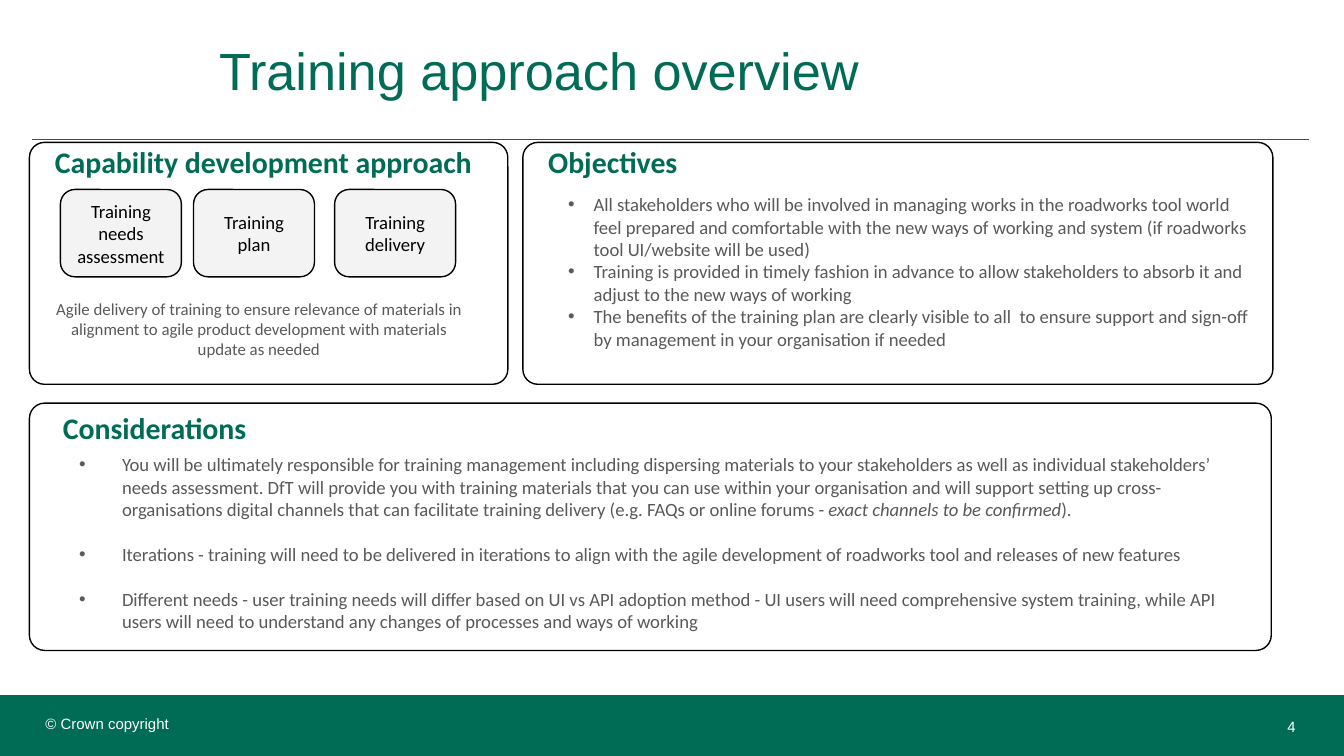
from pptx import Presentation
from pptx.dml.color import RGBColor
from pptx.enum.shapes import MSO_CONNECTOR, MSO_SHAPE
from pptx.enum.text import MSO_ANCHOR, MSO_AUTO_SIZE, PP_ALIGN
from pptx.oxml.ns import qn
from pptx.util import Pt
from lxml import etree

GREEN = RGBColor(0x00, 0x6C, 0x56)
RULE_GREEN = RGBColor(0x00, 0x6B, 0x56)
GREY = RGBColor(0x59, 0x59, 0x59)
PALE = RGBColor(0xF3, 0xF3, 0xF3)
BLACK = RGBColor(0, 0, 0)
WHITE = RGBColor(0xFF, 0xFF, 0xFF)

RECTANGLE = MSO_SHAPE.RECTANGLE
ROUNDED = MSO_SHAPE.ROUNDED_RECTANGLE
STRAIGHT = MSO_CONNECTOR.STRAIGHT
TOP, MIDDLE = MSO_ANCHOR.TOP, MSO_ANCHOR.MIDDLE
LEFT, CENTER, RIGHT = PP_ALIGN.LEFT, PP_ALIGN.CENTER, PP_ALIGN.RIGHT
NO_AUTOFIT = MSO_AUTO_SIZE.NONE

TITLE = {"name": "Arial", "size": Pt(28), "bold": False}
HEADING = {"name": "Calibri", "size": Pt(16), "bold": True}
BODY = {"name": "Calibri", "size": Pt(10)}
NOTE = {"name": "Calibri", "size": Pt(9)}
FOOTER = {"name": "Arial", "size": Pt(8)}

STEP_TOP, STEP_WIDTH, STEP_HEIGHT = 101.5, 64.8, 46.8
STEPS = [
    (32.4, "Training needs assessment", 4.3),
    (103.7, "Training plan", 7.2),
    (179.3, "Training delivery", 7.2),
]
PANELS = [
    (15.8, 76.3, 256.3, 129.6),
    (280.1, 76.3, 401.8, 129.6),
    (15.8, 216, 665.3, 132.5),
]
HEADINGS = [
    (22.3, 76.3, 262, "Capability development approach"),
    (286.6, 76.3, 246, "Objectives"),
    (26.6, 218.9, 400, "Considerations"),
]
AGILE_NOTE = (
    "Agile delivery of training to ensure relevance of materials in alignment "
    "to agile product development with materials update as needed"
)
OBJECTIVES = [
    [("All stakeholders who will be involved in managing works in the roadworks tool "
      "world feel prepared and comfortable with the new ways of working and system "
      "(if roadworks tool UI/website will be used)", False)],
    [("Training is provided in timely fashion in advance to allow stakeholders to "
      "absorb it and adjust to the new ways of working", False)],
    [("The benefits of the training plan are clearly visible to all  to ensure support "
      "and sign-off by management in your organisation if needed", False)],
]
CONSIDERATIONS = [
    [("You will be ultimately responsible for training management including dispersing "
      "materials to your stakeholders as well as individual stakeholders’ needs "
      "assessment. DfT will provide you with training materials that you can use within "
      "your organisation and will support setting up cross-organisations digital "
      "channels that can facilitate training delivery (e.g. FAQs or online forums - ", False),
     ("exact channels to be confirmed", True), (").", False)],
    [("Iterations - training will need to be delivered in iterations to align with the "
      "agile development of roadworks tool and releases of new features", False)],
    [("Different needs - user training needs will differ based on UI vs API adoption "
      "method - UI users will need comprehensive system training, while API users will "
      "need to understand any changes of processes and ways of working", False)],
]


def apply(target, values):
    for name, value in values.items():
        setattr(target, name, value)


def format_frame(frame, anchor=MIDDLE, side=7.2, edge=7.2, wrap=True):
    apply(frame, {
        "auto_size": NO_AUTOFIT, "word_wrap": wrap, "vertical_anchor": anchor,
        "margin_left": Pt(side), "margin_right": Pt(side),
        "margin_top": Pt(edge), "margin_bottom": Pt(edge),
    })


def add_span(para, text, style, color, italic=False):
    span = para.add_run()
    span.text = text
    apply(span.font, {**style, "italic": italic})
    span.font.color.rgb = color


def write_line(frame, text, style, color, align=LEFT):
    para = frame.paragraphs[0]
    para.alignment = align
    add_span(para, text, style, color)


def add_label(page, place, text, style, color, align=LEFT, **layout):
    box = page.shapes.add_textbox(*map(Pt, place))
    format_frame(box.text_frame, **layout)
    write_line(box.text_frame, text, style, color, align)


def add_block(page, preset, place, fill=None, line=None, rounding=None):
    block = page.shapes.add_shape(preset, *map(Pt, place))
    block.shadow.inherit = False
    if rounding is not None:
        block.adjustments[0] = rounding
    if fill is None:
        block.fill.background()
    else:
        block.fill.solid()
        block.fill.fore_color.rgb = fill
    if line is None:
        block.line.fill.background()
    else:
        block.line.color.rgb = line
        block.line.width = Pt(0.75)
    return block


def add_step(page, left, text, side):
    place = (left, STEP_TOP, STEP_WIDTH, STEP_HEIGHT)
    step = add_block(page, ROUNDED, place, PALE, BLACK, 0.167)
    format_frame(step.text_frame, side=side)
    write_line(step.text_frame, text, BODY, BLACK, CENTER)


def add_bullet(para, indent, hanging):
    properties = para._p.get_or_add_pPr()
    properties.set("marL", str(Pt(indent)))
    properties.set("indent", str(-Pt(hanging)))
    color = etree.SubElement(properties, qn("a:buClr"))
    etree.SubElement(color, qn("a:srgbClr")).set("val", str(GREY))
    etree.SubElement(properties, qn("a:buFont")).set("typeface", "Arial")
    etree.SubElement(properties, qn("a:buChar")).set("char", "•")


def add_bullets(page, place, items, indent, hanging, gap=0):
    box = page.shapes.add_textbox(*map(Pt, place))
    frame = box.text_frame
    format_frame(frame)
    for index, item in enumerate(items):
        para = frame.add_paragraph() if index else frame.paragraphs[0]
        add_bullet(para, indent, hanging)
        if index and gap:
            para.space_before = Pt(gap)
        for text, italic in item:
            add_span(para, text, BODY, GREY, italic)


def add_rule(page, left, right, top):
    rule = page.shapes.add_connector(STRAIGHT, Pt(left), Pt(top), Pt(right), Pt(top))
    rule.line.color.rgb = RULE_GREEN
    rule.line.width = Pt(0.75)
    etree.SubElement(rule._element.spPr, qn("a:effectLst"))


def fill_title(page, text):
    title = page.shapes.title
    apply(title, {"left": Pt(110.2), "top": Pt(17.3),
                  "width": Pt(590.4), "height": Pt(40.3)})
    format_frame(title.text_frame)
    write_line(title.text_frame, text, TITLE, GREEN)


def add_footer(page):
    add_block(page, RECTANGLE, (0, 372.4, 720, 32.6), GREEN)
    add_label(page, (661.7, 380.9, 39.6, 16.6), "4", FOOTER, WHITE, RIGHT, edge=3.6)
    add_label(page, (17.3, 379.4, 81.4, 17.3), "© Crown copyright", FOOTER, WHITE,
              anchor=TOP, edge=3.6, wrap=False)


def main():
    deck = Presentation()
    apply(deck, {"slide_width": Pt(720), "slide_height": Pt(405)})
    page = deck.slides.add_slide(deck.slide_layouts[5])
    fill_title(page, "Training approach overview")
    add_footer(page)
    add_rule(page, 17.3, 701.3, 74.9)
    for place in PANELS:
        add_block(page, ROUNDED, place, line=BLACK, rounding=0.062)
    for left, top, width, text in HEADINGS:
        add_label(page, (left, top, width, 20.2), text, HEADING, GREEN)
    for left, text, side in STEPS:
        add_step(page, left, text, side)
    add_label(page, (18, 149.8, 241.2, 52.6), AGILE_NOTE, NOTE, GREY, CENTER)
    add_bullets(page, (284.4, 96.5, 398.2, 97.9), OBJECTIVES, 26.6, 13.7)
    add_bullets(page, (22.3, 241.9, 650.2, 97.9), CONSIDERATIONS, 36, 23, gap=12)
    deck.save("out.pptx")


if __name__ == "__main__":
    main()
